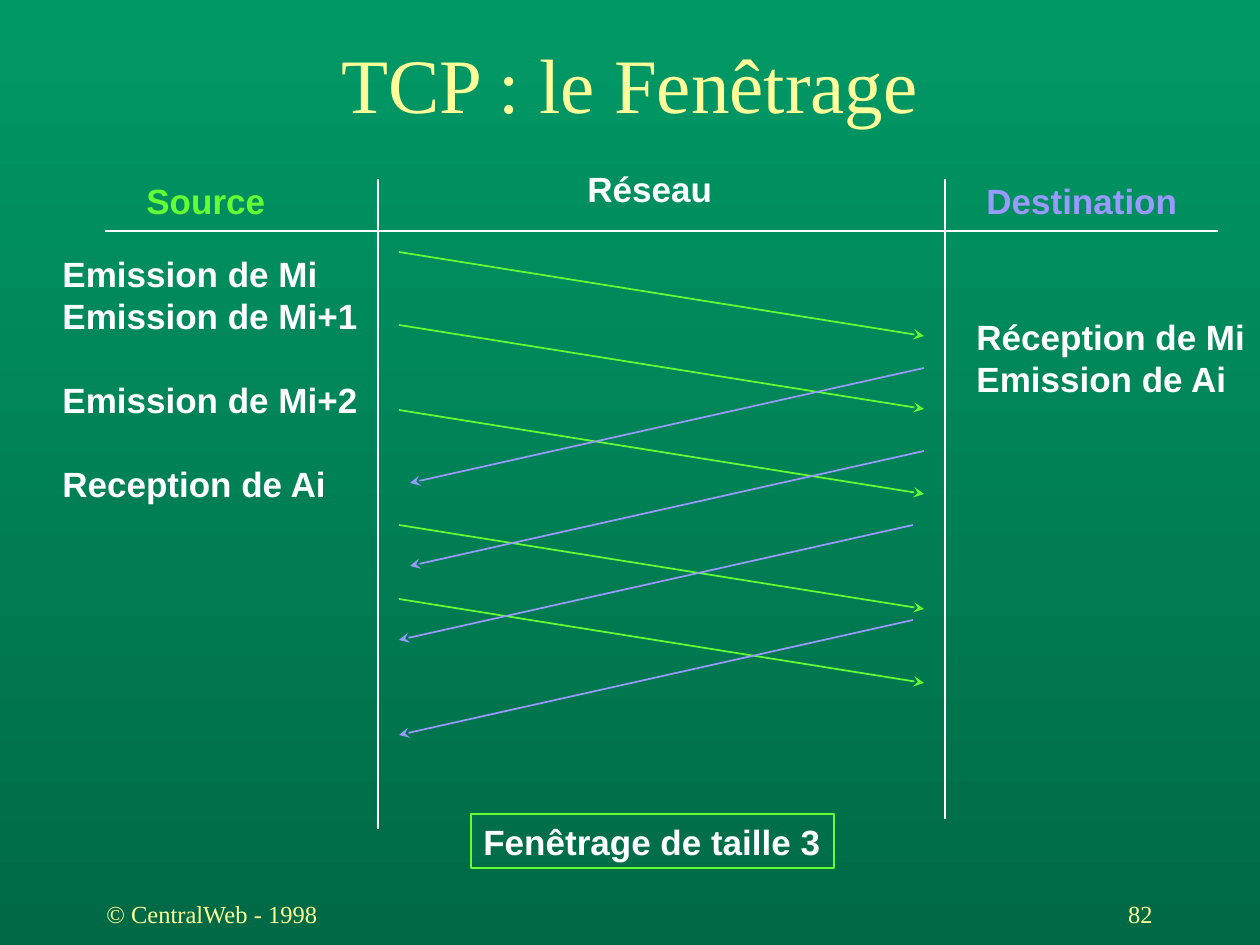
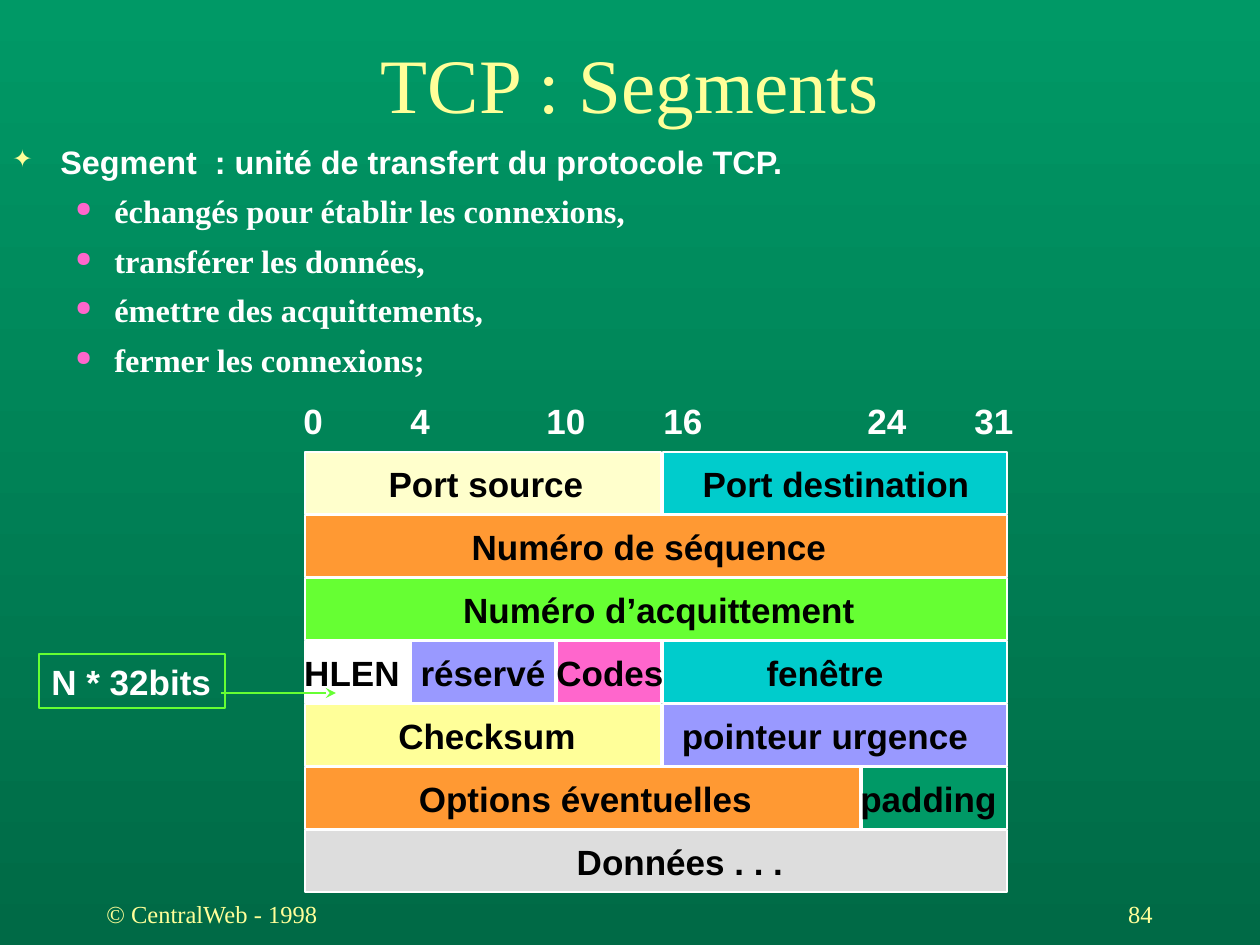
from lxml.etree import SubElement
from pptx import Presentation
from pptx.dml.color import RGBColor
from pptx.enum.shapes import MSO_CONNECTOR, MSO_SHAPE
from pptx.enum.text import MSO_ANCHOR, PP_ALIGN
from pptx.oxml.ns import qn
from pptx.util import Pt

PX = 914400 / 126
W, H = 1260, 945

GREEN_TOP = RGBColor(0x00, 0x99, 0x66)
GREEN_BOTTOM = RGBColor(0x00, 0x6A, 0x46)
CREAM = RGBColor(0xFF, 0xFF, 0x99)
PALE = RGBColor(0xFF, 0xFF, 0xCC)
WHITE = RGBColor(0xFF, 0xFF, 0xFF)
BLACK = RGBColor(0x00, 0x00, 0x00)
LIME = RGBColor(0x66, 0xFF, 0x33)
VIOLET = RGBColor(0x99, 0x99, 0xFF)
ORANGE = RGBColor(0xFF, 0x99, 0x33)
CYAN = RGBColor(0x00, 0xCC, 0xCC)
PINK = RGBColor(0xFF, 0x66, 0xCC)
GREY = RGBColor(0xDD, 0xDD, 0xDD)

SANS, SERIF = "Arial", "Times New Roman"


def emu(*lengths):
    """Turn px lengths into EMU."""
    return [round(n * PX) for n in lengths]


def add_run(p, text, size=20, font=SANS, color=WHITE, bold=True):
    """Add one formatted run to a paragraph."""
    r = p.add_run()
    r.text = text
    r.font.size, r.font.name, r.font.bold = Pt(size), font, bold
    r.font.color.rgb = color


def write(sp, text, align=PP_ALIGN.LEFT, anchor=MSO_ANCHOR.TOP, wrap=False, **fmt):
    """Write the lines of a text into a shape."""
    tf = sp.text_frame
    tf.word_wrap, tf.vertical_anchor = wrap, anchor
    for i, line in enumerate(text.split("\n")):
        p = tf.add_paragraph() if i else tf.paragraphs[0]
        p.alignment = align
        add_run(p, line, **fmt)
    return tf


def label(s, text, x, y, w, h=54, **fmt):
    """Add a text box."""
    return write(s.shapes.add_textbox(*emu(x, y, w, h)), text, **fmt)


def rect(s, x, y, w, h, line, fill=None):
    """Add a thinly outlined rectangle."""
    sp = s.shapes.add_shape(MSO_SHAPE.RECTANGLE, *emu(x, y, w, h))
    sp.shadow.inherit = False
    sp.line.color.rgb, sp.line.width = line, Pt(1)
    if fill is None:
        sp.fill.background()
    else:
        sp.fill.solid()
        sp.fill.fore_color.rgb = fill
    return sp


def rule(s, x1, y1, x2, y2, color=WHITE, arrow=False):
    """Add a straight line, with an arrowhead at its end if asked."""
    c = s.shapes.add_connector(MSO_CONNECTOR.STRAIGHT, *emu(x1, y1, x2, y2))
    c.line.color.rgb, c.line.width = color, Pt(1)
    if arrow:
        SubElement(c.line._get_or_add_ln(), qn("a:tailEnd"), type="stealth")
    SubElement(c._element.spPr, qn("a:effectLst"))


def bullet(p, char, color, percent, margin, hang):
    """Give a paragraph a coloured bullet and a hanging indent."""
    pPr = p._p.get_or_add_pPr()
    pPr.set("marL", str(emu(margin)[0]))
    pPr.set("indent", str(emu(-hang)[0]))
    clr = SubElement(pPr, qn("a:buClr"))
    SubElement(clr, qn("a:srgbClr"), val=str(color))
    SubElement(pPr, qn("a:buSzPct"), val=str(percent * 1000))
    SubElement(pPr, qn("a:buChar"), char=char)


def new_slide(prs, title, number):
    """Add a slide with the shared background, title and footers."""
    s = prs.slides.add_slide(prs.slide_layouts[6])
    fill = s.background.fill
    fill.gradient()
    fill.gradient_angle = 270
    for stop, pos, color in zip(fill.gradient_stops, (0, 1), (GREEN_TOP, GREEN_BOTTOM)):
        stop.position, stop.color.rgb = pos, color
    style = dict(font=SERIF, color=CREAM, bold=False, anchor=MSO_ANCHOR.MIDDLE, wrap=True)
    label(s, title, 0, 39, W, 87, size=44, align=PP_ALIGN.CENTER, **style)
    label(s, "© CentralWeb - 1998", 94, 882, 262, 63, size=14, **style)
    label(s, str(number), 903, 882, 262, 63, size=14, align=PP_ALIGN.RIGHT, **style)
    return s


def column_grid(s, x, y, w):
    """Draw the three columns of the exchange with their headings."""
    rule(s, x, y + 52, x + w, y + 52)
    rule(s, x + 273, y, x + 273, y + 650)
    rule(s, x + 840, y, x + 840, y + 640)
    label(s, "Source", x + 29, y - 6, 145, color=LIME)
    label(s, "Réseau", x + 470, y - 18, 150)
    label(s, "Destination", x + 869, y - 6, 217, color=VIOLET)


def messages(s, x, y):
    """Draw the sent messages and the returned acknowledgements."""
    for dy in (0, 73, 158, 273, 347):
        rule(s, x, y + dy, x + 525, y + dy + 84, LIME, arrow=True)
    for dx, dy in ((11, 116), (11, 199), (0, 273), (0, 368)):
        rule(s, x + dx + 514, y + dy, x + dx, y + dy + 115, VIOLET, arrow=True)


def events(s, x, y):
    """Name the events on the source side and the destination side."""
    label(s, "Emission de Mi\nEmission de Mi+1", x, y, 321, 97)
    label(s, "Emission de Mi+2", x, y + 126, 321)
    label(s, "Reception de Ai", x, y + 210, 291)
    label(s, "Réception de Mi\nEmission de Ai", x + 914, y + 63, 295, 97)


def framed(s, text, x, y, w):
    """Add a remark in a lime frame."""
    write(rect(s, x, y, w, 54, LIME), text, align=PP_ALIGN.LEFT)


def segment_points(s, x, y, w, h):
    """List what a segment is and what it is used for."""
    tf = s.shapes.add_textbox(*emu(x, y, w, h)).text_frame
    tf.word_wrap = True
    p = tf.paragraphs[0]
    bullet(p, "✦", CREAM, 75, 48, 48)
    add_run(p, "Segment  : unité de transfert du protocole TCP.", size=18.5)
    for text in ("échangés pour établir les connexions,", "transférer les données,",
                 "émettre des acquittements,", "fermer les connexions;"):
        p = tf.add_paragraph()
        p.space_before = Pt(6)
        bullet(p, "●", PINK, 65, 102, 39)
        add_run(p, text, size=18.5, font=SERIF)


def bit_scale(s, x, y, w):
    """Write the bit positions on tab stops above the header."""
    tf = label(s, "0\t4\t10\t16\t24\t31", x, y, w, wrap=True)
    tabs = SubElement(tf.paragraphs[0]._p.get_or_add_pPr(), qn("a:tabLst"))
    for pos in (107, 243, 360, 564, 671):
        SubElement(tabs, qn("a:tab"), pos=str(emu(pos)[0]), algn="l")


def header_fields(s, x, y, pitch=63, gap=2):
    """Draw the header fields: first edge, last edge, fill, label, label shift."""
    edges = (0, 106, 252, 358, 557, 704)
    rows = (
        [(0, 3, PALE, "Port source", 3), (3, 5, CYAN, "Port destination", 1)],
        [(0, 5, ORANGE, "Numéro de séquence", -7)],
        [(0, 5, LIME, "Numéro d’acquittement", 3)],
        [(0, 1, WHITE, "HLEN", -5), (1, 2, VIOLET, "réservé", 0),
         (2, 3, PINK, "Codes", 1), (3, 5, CYAN, "fenêtre", -10)],
        [(0, 3, CREAM, "Checksum", 4), (3, 5, VIOLET, "pointeur urgence", -10)],
        [(0, 4, ORANGE, "Options éventuelles", 3), (4, 5, GREEN_TOP, "padding", -6)],
        [(0, 5, GREY, "Données . . .", 24)],
    )
    for i, row in enumerate(rows):
        for first, last, fill, text, shift in row:
            width = edges[last] - edges[first] - gap
            sp = rect(s, x + edges[first], y + i * pitch, width, pitch - 1, WHITE, fill)
            tf = write(sp, text, align=PP_ALIGN.CENTER, anchor=MSO_ANCHOR.MIDDLE, color=BLACK)
            tf.margin_left, tf.margin_right = emu(2 * max(shift, 0), 2 * max(-shift, 0))


def windowing_slide(prs):
    """Build the slide on windowing."""
    s = new_slide(prs, "TCP : le Fenêtrage", 82)
    column_grid(s, 105, 179, 1113)
    events(s, 50, 246)
    messages(s, 399, 252)
    framed(s, "Fenêtrage de taille 3", 471, 814, 363)


def segments_slide(prs):
    """Build the slide on the segment header."""
    s = new_slide(prs, "TCP : Segments", 84)
    segment_points(s, 0, 136, 1250, 252)
    header_fields(s, 305, 452)
    bit_scale(s, 291, 393, 747)
    framed(s, "N * 32bits", 39, 654, 186)
    rule(s, 221, 693, 336, 693, LIME, arrow=True)


def main():
    """Build and save the presentation."""
    prs = Presentation()
    prs.slide_width, prs.slide_height = emu(W, H)
    windowing_slide(prs)
    segments_slide(prs)
    prs.save("out.pptx")


if __name__ == "__main__":
    main()
